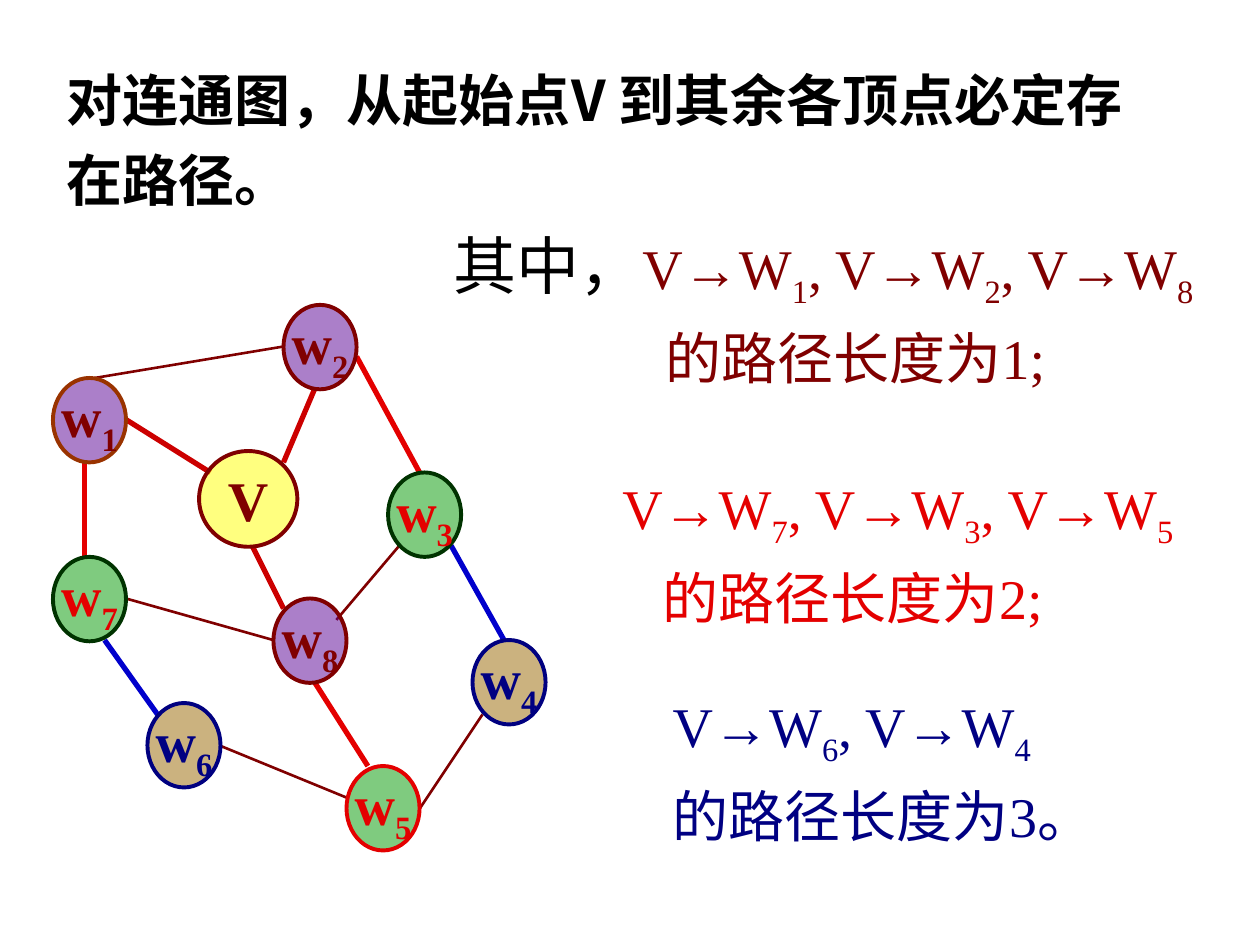
from lxml.etree import SubElement
from pptx import Presentation
from pptx.dml.color import RGBColor
from pptx.enum.shapes import MSO_CONNECTOR, MSO_SHAPE
from pptx.enum.text import MSO_ANCHOR, MSO_AUTO_SIZE, PP_ALIGN
from pptx.oxml.ns import qn
from pptx.util import Inches, Pt

COLORS = {
    "black": "000000", "maroon": "800000", "rust": "993300", "crimson": "CC0000",
    "red": "E40000", "blue": "0000CC", "navy": "000082", "navy_line": "000080",
    "yellow": "FFFF00", "purple": "580094", "green": "009900",
    "dark_green": "003300", "brown": "996600",
}
LATIN = "Times New Roman"
CHINESE = "Noto Sans CJK SC"

# label, subscript, left, top, fill, outline, text colour
NODES = [
    ("V", "", 1.58, 3.58, "yellow", "maroon", "maroon"),
    ("w", "8", 2.17, 4.75, "purple", "maroon", "maroon"),
    ("w", "7", 0.42, 4.42, "green", "dark_green", "red"),
    ("w", "6", 1.17, 5.58, "brown", "navy_line", "navy"),
    ("w", "1", 0.42, 3, "purple", "rust", "maroon"),
    ("w", "2", 2.25, 2.42, "purple", "maroon", "maroon"),
    ("w", "3", 3.08, 3.75, "green", "dark_green", "red"),
    ("w", "4", 3.75, 5.08, "brown", "navy_line", "navy"),
    ("w", "5", 2.75, 6.08, "green", "red", "red"),
]
# colour, line width, end points
EDGES = [
    ("maroon", 1.5, [(1.75, 5.92, 2.75, 6.33), (3.17, 4.33, 2.67, 4.92),
                     (0.75, 3, 2.25, 2.75), (3.83, 5.67, 3.33, 6.42),
                     (1, 4.75, 2.17, 5.08)]),
    ("crimson", 3, [(1, 3.33, 1.67, 3.75), (2.5, 3.08, 2.25, 3.67),
                    (2, 4.33, 2.25, 4.83)]),
    ("red", 3, [(0.67, 3.67, 0.67, 4.42), (2.83, 2.83, 3.33, 3.75),
                (2.5, 5.42, 2.92, 6.08)]),
    ("blue", 3, [(0.83, 5.08, 1.25, 5.67), (3.58, 4.33, 4, 5.08)]),
]
# box, lead-in, target subscripts, length line, its indent, colour
PATHS = [
    ((3.5, 1.62, 6.25, 1.46), "其中，", "128", "的路径长度为1;", 1.68, "maroon"),
    ((4.84, 3.59, 4.92, 1.38), "", "735", "的路径长度为2;", 0.32, "red"),
    ((5.24, 5.32, 4.1, 1.38), "", "64", "的路径长度为3。", 0, "navy"),
]


def rgb(name):
    return RGBColor.from_string(COLORS[name])


def add_span(para, text, color, size=32, bold=False, subscript=False, latin=LATIN):
    span = para.add_run()
    span.text = text
    font = span.font
    font.name, font.size, font.bold = latin, Pt(size), bold
    font.color.rgb = rgb(color)
    properties = font._element
    SubElement(properties, qn("a:ea")).set("typeface", CHINESE)
    if subscript:
        properties.set("baseline", "-25000")


def add_title(page, box):
    title = page.shapes.title
    title.left, title.top, title.width, title.height = map(Inches, box)
    frame = title.text_frame
    frame.word_wrap = True
    frame.auto_size = MSO_AUTO_SIZE.NONE
    frame.vertical_anchor = MSO_ANCHOR.TOP
    para = frame.paragraphs[0]
    para.alignment = PP_ALIGN.LEFT
    para.line_spacing = 1.2
    para.space_before = Pt(0)
    add_span(para, "对连通图，从起始点V 到其余各顶点必定存在路径。", "black",
             bold=True, latin=CHINESE)


def add_edge(page, ends, color, width):
    edge = page.shapes.add_connector(MSO_CONNECTOR.STRAIGHT, *map(Inches, ends))
    edge.line.color.rgb = rgb(color)
    edge.line.width = Pt(width)
    SubElement(edge._element.spPr, qn("a:effectLst"))


def add_node(page, box, label, subscript, fill, outline, color):
    node = page.shapes.add_shape(MSO_SHAPE.OVAL, *map(Inches, box))
    node.shadow.inherit = False
    node.fill.solid()
    node.fill.fore_color.rgb = rgb(fill)
    fill_color = node._element.spPr.find(qn("a:solidFill"))[0]
    SubElement(fill_color, qn("a:alpha")).set("val", "50000")
    node.line.color.rgb = rgb(outline)
    node.line.width = Pt(2.25)
    frame = node.text_frame
    frame.word_wrap = False
    frame.vertical_anchor = MSO_ANCHOR.MIDDLE
    para = frame.paragraphs[0]
    para.alignment = PP_ALIGN.CENTER
    add_span(para, label, color, bold=True)
    if subscript:
        add_span(para, subscript, color, bold=True, subscript=True)


def add_graph(page):
    for color, width, lines in EDGES:
        for ends in lines:
            add_edge(page, ends, color, width)
    for label, subscript, left, top, *colors in NODES:
        size = (0.58, 0.67) if subscript else (0.78, 0.76)
        add_node(page, (left, top, *size), label, subscript, *colors)


def add_paths(page, box, lead, targets, length, indent, color):
    """Lists the paths of one length, with that length on the line below."""
    frame = page.shapes.add_textbox(*map(Inches, box)).text_frame
    frame.word_wrap = not lead
    first = frame.paragraphs[0]
    if lead:
        add_span(first, lead, "black", size=36)
    for index, target in enumerate(targets):
        add_span(first, ", V→W" if index else "V→W", color)
        add_span(first, target, color, subscript=True)
    second = frame.add_paragraph()
    second._p.get_or_add_pPr().set("marL", str(Inches(indent)))
    add_span(second, length, color)
    for para in frame.paragraphs:
        para.line_spacing = 1.2


def main():
    deck = Presentation()
    deck.slide_width, deck.slide_height = Inches(10), Inches(7.5)
    page = deck.slides.add_slide(deck.slide_layouts[5])
    add_title(page, (0.43, 0.36, 8.98, 1.38))
    for path in PATHS:
        add_paths(page, *path)
    add_graph(page)
    deck.save("out.pptx")


if __name__ == "__main__":
    main()
